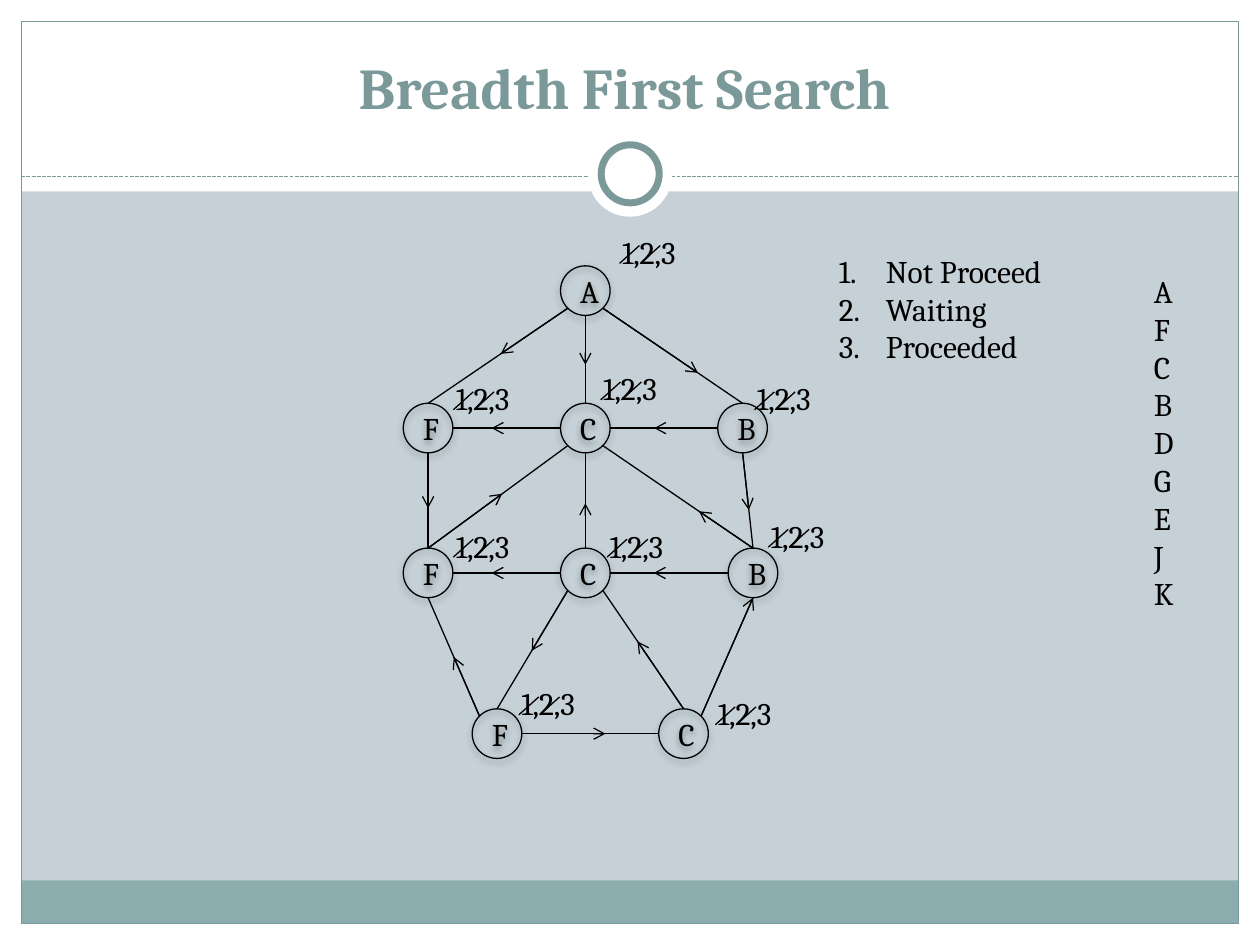
from math import cos, radians, sin

from lxml.etree import SubElement
from pptx import Presentation
from pptx.dml.color import RGBColor
from pptx.enum.dml import MSO_LINE
from pptx.enum.shapes import MSO_CONNECTOR, MSO_SHAPE
from pptx.enum.text import MSO_ANCHOR, MSO_AUTO_SIZE, PP_ALIGN
from pptx.oxml import parse_xml
from pptx.oxml.ns import nsdecls, qn
from pptx.util import Cm, Pt

COLORS = {"background": "C5D1D7", "white": "FFFFFF", "band": "8CADAE",
          "accent": "7C999A", "ink": "000000"}
FONT = "Cambria"
WIDTH, HEIGHT, MARGIN = 25.4, 19.05, 0.43
RADIUS = 0.5
ANGLES = {"right": 0, "bottom right": 45, "bottom": 90, "bottom left": 135,
          "left": 180, "top left": 225, "top": 270, "top right": 315}

LEFT_X, MIDDLE_X = 8.63, 11.8
ROWS = (5.86, 8.63, 11.55, 14.79)
NODES = {
    "A1": ((MIDDLE_X, ROWS[0]), (12.29, 4.57)),
    "C1": ((MIDDLE_X, ROWS[1]), (11.91, 7.32)),
    "B1": ((14.97, ROWS[1]), (15.01, 7.52)),
    "F1": ((LEFT_X, ROWS[1]), (8.94, 7.52)),
    "C2": ((MIDDLE_X, ROWS[2]), (12.04, 10.49)),
    "B2": ((15.18, ROWS[2]), (15.29, 10.29)),
    "F2": ((LEFT_X, ROWS[2]), (8.94, 10.49)),
    "C3": ((13.78, ROWS[3]), (14.22, 13.87)),
    "F3": ((10.02, ROWS[3]), (10.26, 13.67)),
}
EDGES = [
    ("A1", "bottom left", "F1", "top", 0.48),
    ("A1", "bottom", "C1", "top", 0.56),
    ("A1", "bottom right", "B1", "top", 0.68),
    ("B1", "left", "C1", "right", 0.59),
    ("C1", "left", "F1", "right", 0.64),
    ("F1", "bottom", "F2", "top", 0.58),
    ("B1", "bottom", "B2", "top", 0.6),
    ("F2", "top", "C1", "bottom left", 0.53),
    ("C2", "top", "C1", "bottom", 0.47),
    ("B2", "top", "C1", "bottom right", 0.36),
    ("B2", "left", "C2", "right", 0.63),
    ("C2", "left", "F2", "right", 0.64),
    ("C2", "bottom left", "F3", "top", 0.51),
    ("C3", "top", "C2", "bottom right", 0.57),
    ("C3", "top right", "B2", "bottom", 1),
    ("F3", "top left", "F2", "bottom", 0.5),
    ("F3", "right", "C3", "left", 0.61),
]


def rgb(name):
    """Return a palette colour."""
    return RGBColor.from_string(COLORS[name])


def style_font(paragraph, size=18, color="ink", bold=False):
    """Format all the text of a paragraph."""
    font = paragraph.font
    font.name, font.size, font.bold = FONT, Pt(size), bold
    font.color.rgb = rgb(color)


def add_shape(slide, kind, left, top, width, height, fill=None, line=None, weight=0.75):
    """Add a flat preset shape with optional fill and outline."""
    shape = slide.shapes.add_shape(kind, Cm(left), Cm(top), Cm(width), Cm(height))
    shape.shadow.inherit = False
    if fill:
        shape.fill.solid()
        shape.fill.fore_color.rgb = rgb(fill)
    else:
        shape.fill.background()
    if line:
        shape.line.color.rgb = rgb(line)
        shape.line.width = Pt(weight)
    else:
        shape.line.fill.background()
    return shape


def add_line(slide, start, end, color="ink", dash=None, arrow=False):
    """Add a thin straight line, with an open arrowhead if wanted."""
    line = slide.shapes.add_connector(
        MSO_CONNECTOR.STRAIGHT, *(Cm(value) for value in (*start, *end)))
    line.line.color.rgb = rgb(color)
    line.line.width = Pt(0.75)
    if dash:
        line.line.dash_style = dash
    if arrow:
        SubElement(line.line._get_or_add_ln(), qn("a:tailEnd"), type="arrow")
    SubElement(line._element.spPr, qn("a:effectLst"))


def add_text(slide, left, top, width, height, lines, numbered=False):
    """Add an unwrapped text box, one paragraph per line."""
    box = slide.shapes.add_textbox(Cm(left), Cm(top), Cm(width), Cm(height))
    frame = box.text_frame
    frame.word_wrap = False
    frame.auto_size = MSO_AUTO_SIZE.SHAPE_TO_FIT_TEXT
    frame.text = "\n".join(lines)
    for paragraph in frame.paragraphs:
        if numbered:
            properties = paragraph._p.get_or_add_pPr()
            properties.set("marL", str(Cm(0.95)))
            properties.set("indent", str(-Cm(0.95)))
            SubElement(properties, qn("a:buFont"), typeface="+mj-lt")
            SubElement(properties, qn("a:buAutoNum"), type="arabicPeriod")
        style_font(paragraph)


def add_frame(slide):
    """Draw the margins, border, footer band, divider and ring."""
    inner_width = WIDTH - 2 * MARGIN
    for box in ((0, HEIGHT - MARGIN, WIDTH, MARGIN), (0, 0, WIDTH, 3.86),
                (0, 0, MARGIN, HEIGHT), (WIDTH - MARGIN, 0, MARGIN, HEIGHT)):
        add_shape(slide, MSO_SHAPE.RECTANGLE, *box, fill="white")
    add_shape(slide, MSO_SHAPE.RECTANGLE, MARGIN, 17.75, inner_width, 0.87, fill="band")
    add_shape(slide, MSO_SHAPE.RECTANGLE, MARGIN, MARGIN, inner_width,
              HEIGHT - 2 * MARGIN, line="accent")
    add_line(slide, (MARGIN, 3.56), (WIDTH - MARGIN, 3.56), "accent", MSO_LINE.SQUARE_DOT)
    add_shape(slide, MSO_SHAPE.OVAL, 11.85, 2.67, 1.7, 1.7, fill="white")
    add_shape(slide, MSO_SHAPE.OVAL, 12.12, 2.92, 1.17, 1.17, "white", "accent", 4)


def add_title(slide, text):
    """Place and format the title in front of the frame."""
    title = slide.shapes.title
    title.left, title.top, title.width, title.height = Cm(4.75), Cm(0.79), Cm(15.67), Cm(1.78)
    title.text_frame.text = text
    title.text_frame.vertical_anchor = MSO_ANCHOR.BOTTOM
    paragraph = title.text_frame.paragraphs[0]
    paragraph.alignment = PP_ALIGN.CENTER
    style_font(paragraph, 33, "accent", True)
    slide.shapes._spTree.append(title._element)


def add_node(slide, letter, center):
    """Add a lettered graph node with a soft shadow."""
    x, y = center
    node = add_shape(slide, MSO_SHAPE.OVAL, x - RADIUS, y - RADIUS,
                     2 * RADIUS, 2 * RADIUS, line="ink")
    node._element.spPr.find(qn("a:effectLst")).append(parse_xml(
        f'<a:outerShdw {nsdecls("a")} blurRad="{Pt(4)}" dist="{Pt(2)}" dir="5400000" '
        f'rotWithShape="0"><a:srgbClr val="{COLORS["ink"]}"><a:alpha val="35000"/>'
        '</a:srgbClr></a:outerShdw>'))
    node.text_frame.text = letter
    node.text_frame.vertical_anchor = MSO_ANCHOR.MIDDLE
    paragraph = node.text_frame.paragraphs[0]
    paragraph.alignment = PP_ALIGN.CENTER
    style_font(paragraph)


def rim_point(name, side):
    """Return the point on a node's rim at the given side."""
    (x, y), angle = NODES[name][0], radians(ANGLES[side])
    return x + RADIUS * cos(angle), y + RADIUS * sin(angle)


def add_edge(slide, source, source_side, target, target_side, fraction):
    """Join two nodes and put an arrowhead part of the way along."""
    start, end = rim_point(source, source_side), rim_point(target, target_side)
    tip = [a + fraction * (b - a) for a, b in zip(start, end)]
    add_line(slide, start, end)
    add_line(slide, start, tip, arrow=True)


def add_states(slide, left, top):
    """Write a node's states and strike out the first two."""
    add_text(slide, left, top, 1.85, 1.02, ["1,2,3"])
    for x in (left + 0.2, left + 0.62):
        add_line(slide, (x, top + 0.74), (x + 0.4, top + 0.38))


def main():
    """Build the slide and save it."""
    presentation = Presentation()
    presentation.slide_width, presentation.slide_height = Cm(WIDTH), Cm(HEIGHT)
    slide = presentation.slides.add_slide(presentation.slide_layouts[5])
    slide.background.fill.solid()
    slide.background.fill.fore_color.rgb = rgb("background")
    add_frame(slide)
    add_title(slide, "Breadth First Search")
    for name, (center, _) in NODES.items():
        add_node(slide, name[0], center)
    for edge in EDGES:
        add_edge(slide, *edge)
    add_text(slide, 16.66, 4.95, 5.64, 2.57,
             ["Not Proceed", "Waiting", "Proceeded"], numbered=True)
    add_text(slide, 23.01, 5.36, 0.99, 7.19, "AFCBDGEJK")
    for _, position in NODES.values():
        add_states(slide, *position)
    presentation.save("out.pptx")


if __name__ == "__main__":
    main()
